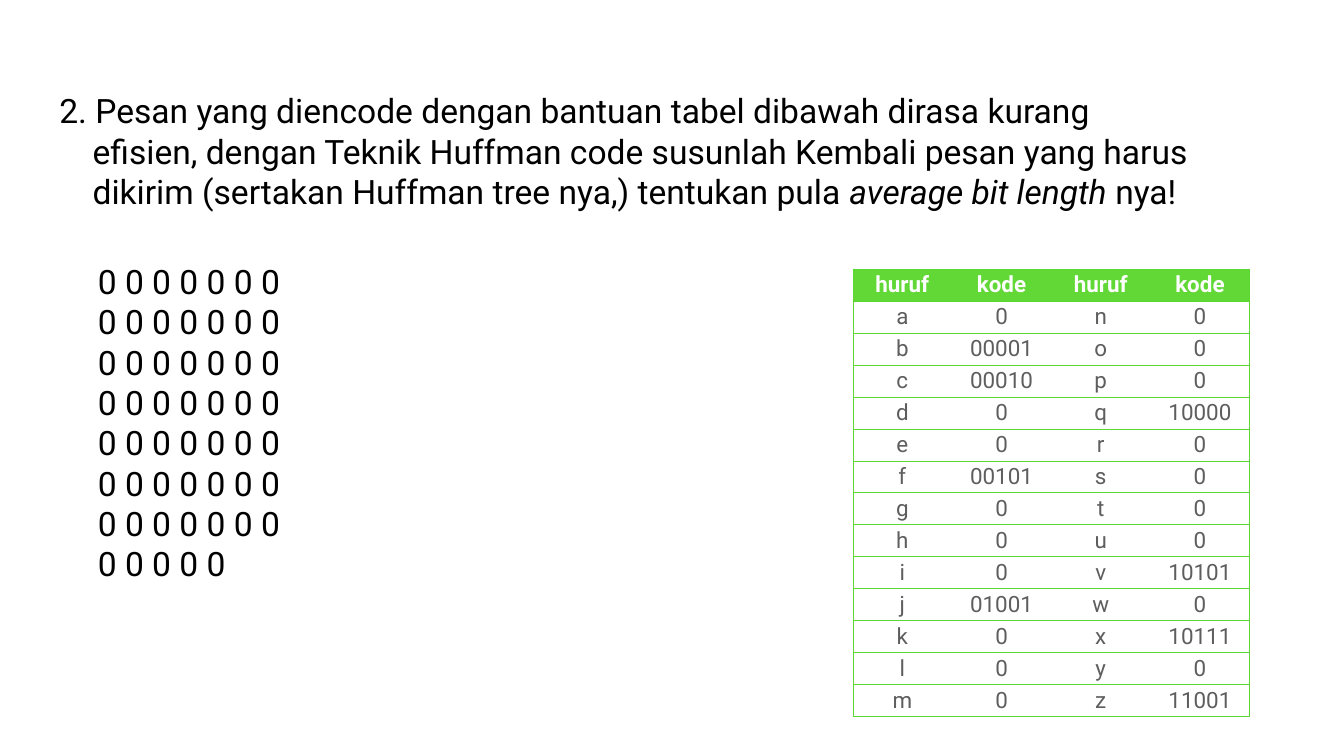
from lxml.etree import SubElement
from pptx import Presentation
from pptx.dml.color import RGBColor
from pptx.enum.text import MSO_ANCHOR as Anchor, MSO_AUTO_SIZE as AutoSize, PP_ALIGN as Align
from pptx.oxml.ns import qn
from pptx.util import Cm, Pt

COLORS = {"text": "000000", "cell": "5E5E5E", "head": "FFFFFF", "green": "61D836", "rule": "5DD731"}
FRAME = {"margin_left": Cm(0.15), "margin_right": Cm(0.15), "margin_top": Cm(0.15),
         "margin_bottom": Cm(0.15), "vertical_anchor": Anchor.MIDDLE,
         "auto_size": AutoSize.SHAPE_TO_FIT_TEXT}
CELL = {"margin_left": Cm(0.1), "margin_right": Cm(0.1), "margin_top": Cm(0.1),
        "margin_bottom": Cm(0.1), "vertical_anchor": Anchor.MIDDLE}
PARAGRAPH = {"line_spacing": 1.0, "space_before": Pt(0), "space_after": Pt(0)}


def write(paragraph, runs, size, color, align, bold=False, indent=0):
    for key, value in {**PARAGRAPH, "alignment": align}.items():
        setattr(paragraph, key, value)
    properties = paragraph._p.get_or_add_pPr()
    properties.set("marL", str(indent))
    properties.set("indent", "0")
    SubElement(properties, qn("a:buNone"))
    for text, italic in runs:
        run = paragraph.add_run()
        run.text = text
        font = {"name": "Roboto", "size": Pt(size), "bold": bold, "italic": italic}
        for key, value in font.items():
            setattr(run.font, key, value)
        run.font.color.rgb = RGBColor.from_string(COLORS[color])


def rule(cell, side, visible):
    line = SubElement(cell._tc.get_or_add_tcPr(), qn(f"a:ln{side}"), w=str(Pt(0.75)))
    if visible:
        fill = SubElement(line, qn("a:solidFill"))
        SubElement(fill, qn("a:srgbClr"), val=COLORS["rule"])
    else:
        SubElement(line, qn("a:noFill"))


deck = Presentation()
deck.slide_width, deck.slide_height = Cm(67.74), Cm(38.1)
slide = deck.slides.add_slide(deck.slide_layouts[1])

question = [
    [("2. Pesan yang diencode dengan bantuan tabel dibawah dirasa kurang", False)],
    [("efisien, dengan Teknik Huffman code susunlah Kembali pesan yang harus", False)],
    [("dikirim (sertakan Huffman tree nya,) tentukan pula ", False),
     ("average bit length", True), (" nya!", False)],
]
message = [[(" ".join("0" * count), False)] for count in [7] * 7 + [5]]
blocks = [
    (slide.shapes.title, question, (2.84, 4.37, 58.04, 6.45), True, Cm(1.68)),
    (slide.placeholders[1], message, (4.78, 12.93, 10.29, 16.69), False, 0),
]
for holder, lines, place, wrap, hanging in blocks:
    holder.left, holder.top, holder.width, holder.height = map(Cm, place)
    frame = holder.text_frame
    for key, value in {**FRAME, "word_wrap": wrap}.items():
        setattr(frame, key, value)
    for number, runs in enumerate(lines):
        paragraph = frame.add_paragraph() if number else frame.paragraphs[0]
        write(paragraph, runs, 48, "text", Align.LEFT, indent=hanging if number else 0)

letters = "abcdefghijklmnopqrstuvwxyz"
long_codes = {"b": "00001", "c": "00010", "f": "00101", "j": "01001",
              "q": "10000", "v": "10101", "x": "10111", "z": "11001"}
half = len(letters) // 2
rows = [["huruf", "kode"] * 2]
for first, second in zip(letters[:half], letters[half:]):
    rows.append([first, long_codes.get(first, "0"), second, long_codes.get(second, "0")])

column_width, row_height = Cm(5), Cm(1.61)
codes = slide.shapes.add_table(len(rows), 4, Cm(42.98), Cm(13.56),
                               column_width * 4, row_height * len(rows)).table
codes.first_row = codes.horz_banding = False
for column in codes.columns:
    column.width = column_width
for r, values in enumerate(rows):
    codes.rows[r].height = row_height
    for c, value in enumerate(values):
        cell = codes.cell(r, c)
        for key, setting in CELL.items():
            setattr(cell, key, setting)
        for side, visible in {"L": c == 0, "R": c == 3, "T": True, "B": True}.items():
            rule(cell, side, visible)
        if r == 0:
            cell.fill.solid()
            cell.fill.fore_color.rgb = RGBColor.from_string(COLORS["green"])
        else:
            cell.fill.background()
        write(cell.text_frame.paragraphs[0], [(value, False)], 32,
              "cell" if r else "head", Align.CENTER, bold=r == 0)

deck.save("out.pptx")
